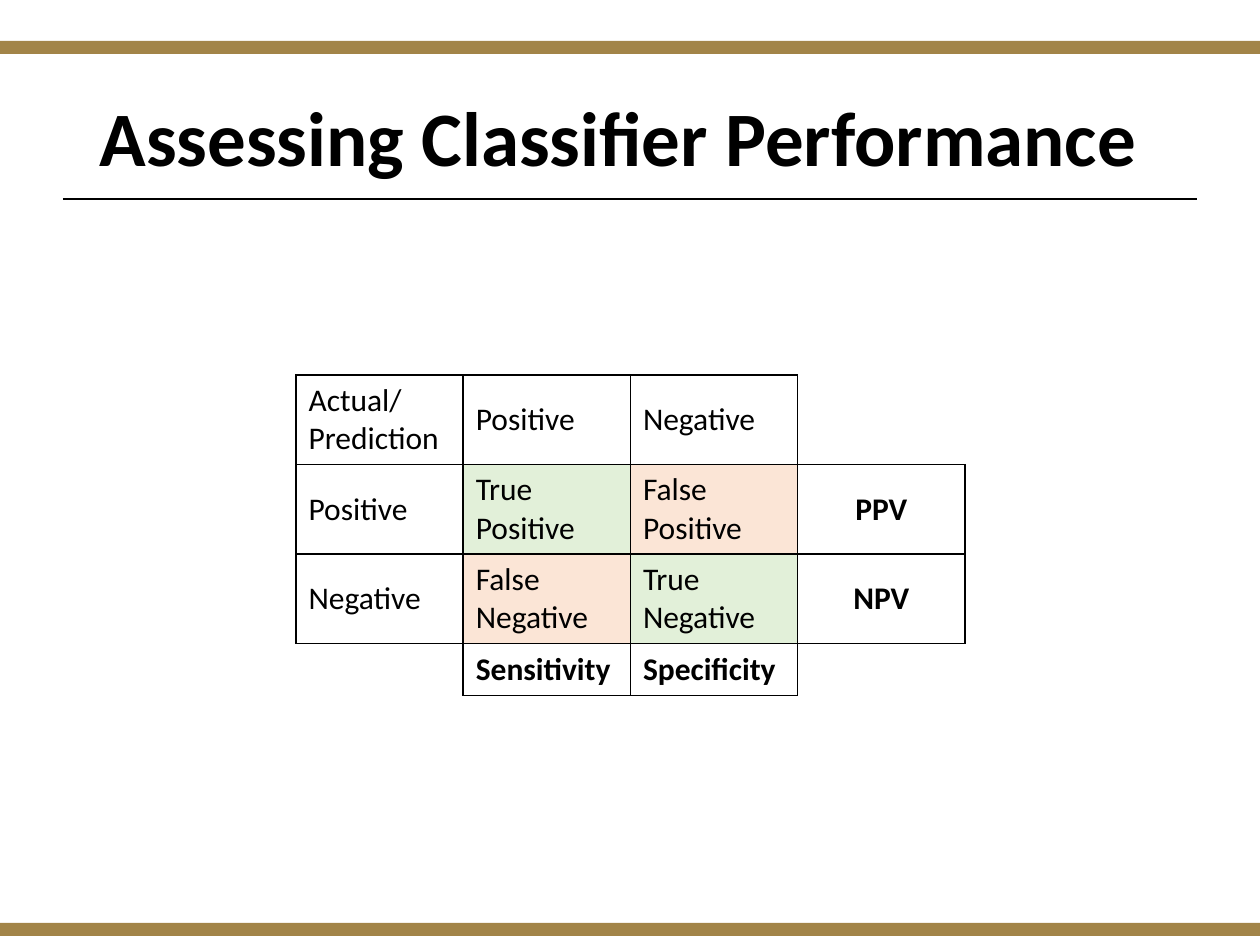
import pptx
import pptx.util
import pptx.dml.color
import pptx.enum.shapes
import pptx.enum.text
import pptx.oxml
import pptx.oxml.ns

PIXEL = 914400 // 126
GOLD = pptx.dml.color.RGBColor(0xA2, 0x84, 0x48)
BLACK = pptx.dml.color.RGBColor(0, 0, 0)
WHITE = pptx.dml.color.RGBColor(255, 255, 255)
GREEN = pptx.dml.color.RGBColor(0xE2, 0xF0, 0xD9)
ORANGE = pptx.dml.color.RGBColor(0xFB, 0xE5, 0xD6)
FILLS = {"True": GREEN, "False": ORANGE}
MIDDLE = pptx.enum.text.MSO_ANCHOR.MIDDLE
CENTER = pptx.enum.text.PP_ALIGN.CENTER
LEFT = pptx.enum.text.PP_ALIGN.LEFT
NAMESPACE = pptx.oxml.ns.nsdecls("a")


def add_text(para, text, size, bold):
    """Add one black Calibri run to a paragraph."""
    span = para.add_run()
    span.text = text
    span.font.name = "Calibri"
    span.font.size = pptx.util.Pt(size)
    span.font.bold = bold
    span.font.color.rgb = BLACK


def set_border(cell, position, side, visible):
    """Give one side of a cell a thin black line, or none."""
    paint = f'<a:solidFill><a:srgbClr val="{BLACK}"/></a:solidFill>' if visible else "<a:noFill/>"
    line = pptx.oxml.parse_xml(f'<a:ln{side} {NAMESPACE} w="12700">{paint}</a:ln{side}>')
    cell._tc.get_or_add_tcPr().insert(position, line)


deck = pptx.Presentation()
deck.slide_width = pptx.util.Inches(10)
deck.slide_height = pptx.util.Inches(7.5)
slide = deck.slides.add_slide(deck.slide_layouts[5])

# Gold bands and the rule below the title
for top in (923, 41):
    band = slide.shapes.add_shape(
        pptx.enum.shapes.MSO_SHAPE.RECTANGLE, 0, top * PIXEL, deck.slide_width, 13 * PIXEL)
    band.shadow.inherit = False
    band.fill.solid()
    band.fill.fore_color.rgb = GOLD
    band.line.fill.background()

rule = slide.shapes.add_connector(
    pptx.enum.shapes.MSO_CONNECTOR.STRAIGHT,
    63 * PIXEL, 199 * PIXEL, 1197 * PIXEL, 199 * PIXEL)
rule.line.color.rgb = BLACK
rule.line.width = pptx.util.Pt(1.25)
rule._element.spPr.append(pptx.oxml.parse_xml(f"<a:effectLst {NAMESPACE}/>"))

# Title
title = slide.shapes.title
title.left, title.top, title.width, title.height = (
    length * PIXEL for length in (87, 50, 1086, 183))
title.text_frame.vertical_anchor = MIDDLE
title.text_frame.word_wrap = True
heading = title.text_frame.paragraphs[0]
heading.alignment = LEFT
heading.line_spacing = 0.9
add_text(heading, "Assessing Classifier Performance", 44, True)

# Confusion matrix: rows grow to fit two lines of text
rows = [
    ["Actual/\nPrediction", "Positive", "Negative", ""],
    ["Positive", "True Positive", "False Positive", "PPV"],
    ["Negative", "False Negative", "True Negative", "NPV"],
    ["", "Sensitivity", "Specificity", ""],
]
SIDES = [("L", 0, -1), ("R", 0, 1), ("T", -1, 0), ("B", 1, 0)]
last = len(rows) - 1
frame = slide.shapes.add_table(4, 4, 296 * PIXEL, 375 * PIXEL, 669 * PIXEL, 208 * PIXEL)
frame.height = 353 * PIXEL
table = frame.table
table.first_row = False
table.horz_banding = False

for row, texts in enumerate(rows):
    for column, text in enumerate(texts):
        cell = table.cell(row, column)
        cell.vertical_anchor = MIDDLE
        color = FILLS.get(text.split(" ")[0], WHITE)
        cell.fill.solid()
        cell.fill.fore_color.rgb = color
        # An edge shows when the cell on either side of it holds text
        for position, (side, down, across) in enumerate(SIDES):
            y, x = row + down, column + across
            inside = 0 <= y <= last and 0 <= x <= last
            set_border(cell, position, side, bool(text or (inside and rows[y][x])))
        if not text:
            continue
        for index, line in enumerate(text.split("\n")):
            body = cell.text_frame
            para = body.add_paragraph() if index else body.paragraphs[0]
            para.alignment = CENTER if column == last else LEFT
            add_text(para, line, 18, last in (row, column))

deck.save("out.pptx")
